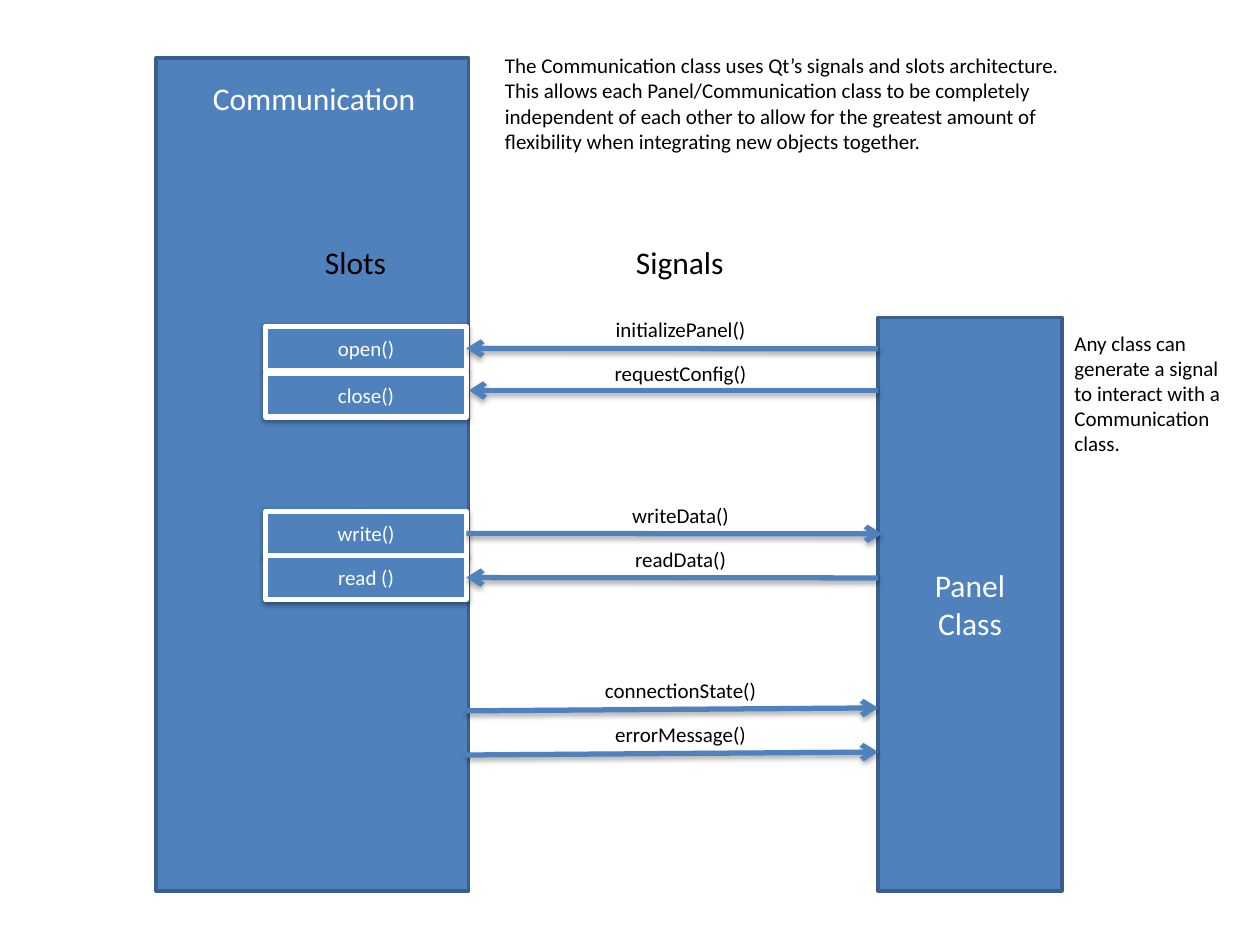
from lxml.etree import SubElement
from pptx import Presentation
from pptx.dml.color import RGBColor
from pptx.enum.shapes import MSO_CONNECTOR, MSO_SHAPE
from pptx.enum.text import MSO_ANCHOR, MSO_AUTO_SIZE, PP_ALIGN
from pptx.oxml.ns import qn
from pptx.util import Cm, Pt

BLUE = RGBColor(0x4F, 0x81, 0xBD)
DARK_BLUE = RGBColor(0x3A, 0x5F, 0x8C)
WHITE = RGBColor(0xFF, 0xFF, 0xFF)
BLACK = RGBColor(0x00, 0x00, 0x00)

FONT = "Calibri"
SMALL, LARGE = 12, 18

SLOT_LEFT, SLOT_WIDTH, SLOT_HEIGHT = 5.36, 4.04, 0.89
SLOT_RIGHT = SLOT_LEFT + SLOT_WIDTH
COMMUNICATION_RIGHT = 9.45
PANEL_LEFT = 17.7
LABEL_LEFT, LABEL_WIDTH, LABEL_HEIGHT = 11.62, 4.2, 0.77

DESCRIPTION = (
    "The Communication class uses Qt’s signals and slots architecture. "
    "This allows each Panel/Communication class to be completely independent "
    "of each other to allow for the greatest amount of flexibility when "
    "integrating new objects together."
)
PANEL_NOTE = "Any class can generate a signal to interact with a Communication class."

SLOTS = [("open()", 6.58), ("close()", 7.52), ("write()", 10.31), ("read ()", 11.2)]

# name, label top, start point, end point, slot at the start, slot at the end
SIGNALS = [
    ("initializePanel()", 6.25, (PANEL_LEFT, 7.03), (SLOT_RIGHT, 7.03), None, "open()"),
    ("requestConfig()", 7.14, (PANEL_LEFT, 7.87), (COMMUNICATION_RIGHT, 7.87), None, None),
    ("writeData()", 10.01, (SLOT_RIGHT, 10.76), (17.78, 10.76), "write()", None),
    ("readData()", 10.9, (PANEL_LEFT, 11.65), (SLOT_RIGHT, 11.65), None, "read ()"),
    ("connectionState()", 13.54, (SLOT_RIGHT, 14.33), (PANEL_LEFT, 14.27), None, None),
    ("errorMessage()", 14.43, (SLOT_RIGHT, 15.22), (PANEL_LEFT, 15.16), None, None),
]


def write_text(frame, text, size, color, align):
    frame.text = text
    for paragraph in frame.paragraphs:
        paragraph.alignment = align
        paragraph.font.name = FONT
        paragraph.font.size = Pt(size)
        paragraph.font.color.rgb = color


def add_shadow(properties, distance, opacity):
    effects = SubElement(properties, qn("a:effectLst"))
    shadow = SubElement(effects, qn("a:outerShdw"), blurRad="40000",
                        dist=str(distance), dir="5400000", rotWithShape="0")
    color = SubElement(shadow, qn("a:srgbClr"), val=str(BLACK))
    SubElement(color, qn("a:alpha"), val=str(opacity * 1000))


def add_block(slide, left, top, width, height, border, border_width, text=""):
    block = slide.shapes.add_shape(MSO_SHAPE.RECTANGLE, Cm(left), Cm(top),
                                   Cm(width), Cm(height))
    block.fill.solid()
    block.fill.fore_color.rgb = BLUE
    block.line.color.rgb = border
    block.line.width = Pt(border_width)
    block.text_frame.vertical_anchor = MSO_ANCHOR.MIDDLE
    if text:
        size = LARGE if border == DARK_BLUE else SMALL
        write_text(block.text_frame, text, size, WHITE, PP_ALIGN.CENTER)
    return block


def add_class(slide, left, top, width, height, text=""):
    block = add_block(slide, left, top, width, height, DARK_BLUE, 2, text)
    block.shadow.inherit = False


def add_slot(slide, name, top):
    slot = add_block(slide, SLOT_LEFT, top, SLOT_WIDTH, SLOT_HEIGHT, WHITE, 3, name)
    add_shadow(slot._element.spPr, 20000, 38)
    return slot


def add_text(slide, text, left, top, width, height, size=SMALL, color=BLACK,
             align=PP_ALIGN.LEFT, wrap=True):
    frame = slide.shapes.add_textbox(Cm(left), Cm(top), Cm(width), Cm(height)).text_frame
    frame.word_wrap = wrap
    frame.auto_size = MSO_AUTO_SIZE.SHAPE_TO_FIT_TEXT
    write_text(frame, text, size, color, align)


def add_heading(slide, text, left, top, width, color=BLACK):
    add_text(slide, text, left, top, width, 1.02, LARGE, color, wrap=False)


def add_signal(slide, name, label_top, start, end, source, target):
    arrow = slide.shapes.add_connector(MSO_CONNECTOR.STRAIGHT,
                                       *(Cm(value) for value in start + end))
    if source:
        arrow.begin_connect(source, 3)
    if target:
        arrow.end_connect(target, 3)
    arrow.line.color.rgb = BLUE
    arrow.line.width = Pt(3)
    properties = arrow._element.spPr
    SubElement(properties.find(qn("a:ln")), qn("a:tailEnd"), type="arrow")
    add_shadow(properties, 23000, 35)
    add_text(slide, name, LABEL_LEFT, label_top, LABEL_WIDTH, LABEL_HEIGHT,
             align=PP_ALIGN.CENTER)


def main():
    presentation = Presentation()
    presentation.slide_width = Cm(25.4)
    presentation.slide_height = Cm(19.05)
    slide = presentation.slides.add_slide(presentation.slide_layouts[6])

    add_class(slide, 3.15, 1.17, 6.3, 16.79)
    add_heading(slide, "Communication", 4.04, 1.47, 4.65, WHITE)
    add_text(slide, DESCRIPTION, 9.93, 0.94, 12.4, 2.31)
    add_heading(slide, "Slots", 6.3, 4.78, 1.75)
    add_heading(slide, "Signals", 12.57, 4.78, 2.29)
    add_class(slide, PANEL_LEFT, 6.4, 3.71, 11.56, "Panel\nClass")
    add_text(slide, PANEL_NOTE, 21.41, 6.53, 3.68, 2.82)

    slots = {name: add_slot(slide, name, top) for name, top in SLOTS}
    for name, label_top, start, end, source, target in SIGNALS:
        add_signal(slide, name, label_top, start, end,
                   slots.get(source), slots.get(target))

    presentation.save("out.pptx")


if __name__ == "__main__":
    main()
